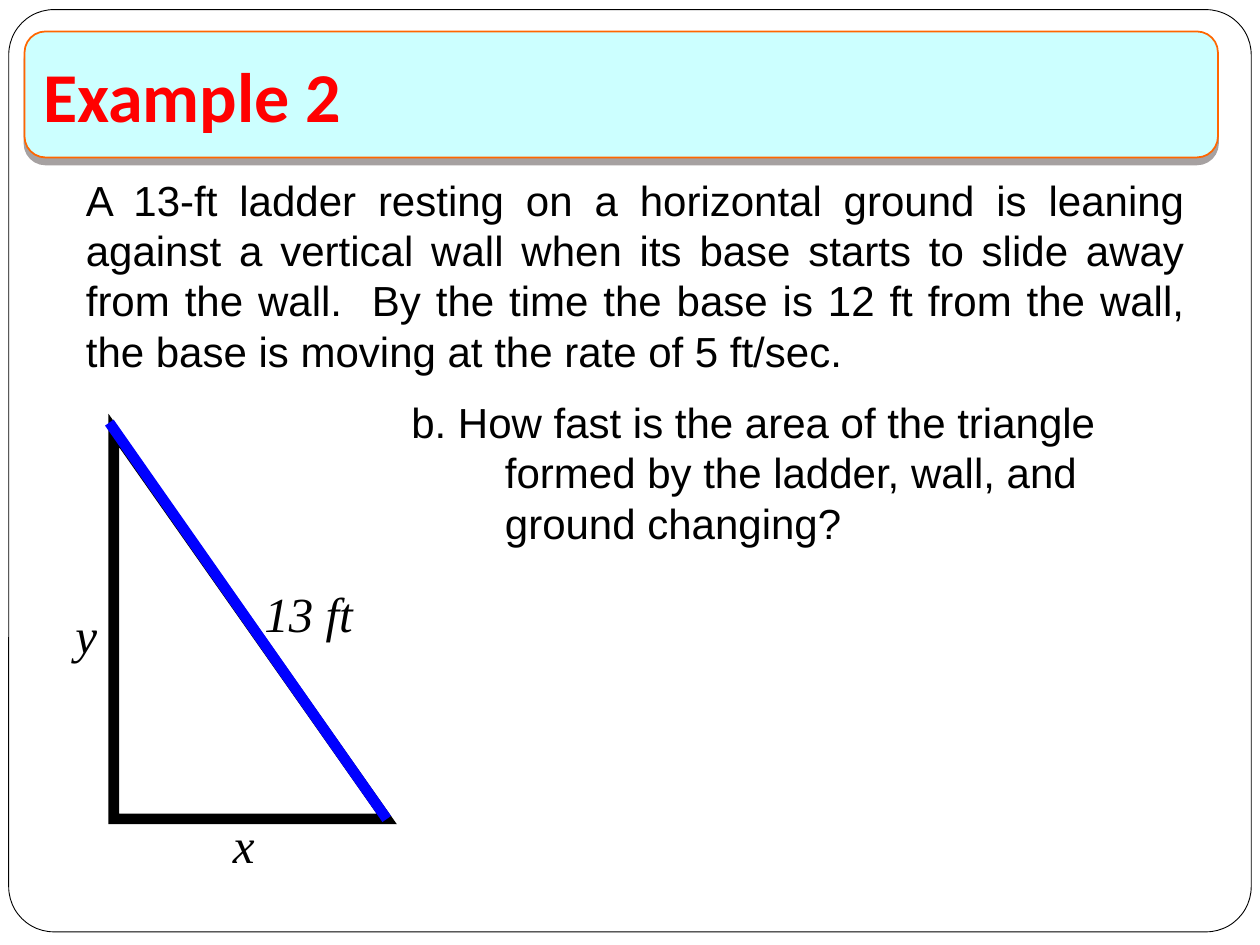
from lxml.etree import SubElement
from pptx import Presentation
from pptx.dml.color import RGBColor
from pptx.enum.shapes import MSO_CONNECTOR, MSO_SHAPE
from pptx.enum.text import MSO_ANCHOR, MSO_AUTO_SIZE, PP_ALIGN
from pptx.oxml.ns import qn
from pptx.util import Pt


def color(code):
    return RGBColor.from_string(code)


def write(frame, text, font="Arial", size=24, ink="000000", bold=False,
          italic=False, align=PP_ALIGN.LEFT, anchor=MSO_ANCHOR.TOP, hang=0):
    frame.word_wrap = True
    frame.auto_size = MSO_AUTO_SIZE.NONE
    frame.vertical_anchor = anchor
    para = frame.paragraphs[0]
    para.text = text
    para.alignment = align
    if hang:
        props = para._p.get_or_add_pPr()
        props.set("marL", str(Pt(hang)))
        props.set("indent", str(-Pt(hang)))
    for run in para.runs:
        run.font.name = font
        run.font.size = Pt(size)
        run.font.bold = bold
        run.font.italic = italic
        run.font.color.rgb = color(ink)


class Board:
    label = dict(font="Times New Roman", size=28, italic=True)

    def __init__(self, slide):
        self.slide = slide
        self.shapes = slide.shapes

    def shape(self, kind, left, top, width, height, fill, line, weight):
        item = self.shapes.add_shape(
            kind, Pt(left), Pt(top), Pt(width), Pt(height))
        item.shadow.inherit = False
        item.fill.solid()
        item.fill.fore_color.rgb = color(fill)
        item.line.color.rgb = color(line)
        item.line.width = Pt(weight)
        return item

    def shadow(self, item, tint, drop):
        effects = item._element.spPr.find(qn("a:effectLst"))
        outer = SubElement(effects, qn("a:outerShdw"), dist=str(Pt(drop)),
                           dir="5400000", algn="ctr", rotWithShape="0")
        SubElement(outer, qn("a:srgbClr"), val=tint)

    def miter(self, item):
        SubElement(item.line._get_or_add_ln(), qn("a:miter"), lim="800000")

    def title(self, text, left, top, width, height, **style):
        item = self.shapes.title
        item.left, item.top = Pt(left), Pt(top)
        item.width, item.height = Pt(width), Pt(height)
        # Bring the title in front of its panel
        self.shapes._spTree.append(item._element)
        write(item.text_frame, text, **style)

    def text(self, text, left, top, width, height, **style):
        item = self.shapes.add_textbox(
            Pt(left), Pt(top), Pt(width), Pt(height))
        write(item.text_frame, text, **style)

    def line(self, start, end, ink, weight):
        points = [Pt(v) for v in (*start, *end)]
        item = self.shapes.add_connector(MSO_CONNECTOR.STRAIGHT, *points)
        item.line.color.rgb = color(ink)
        item.line.width = Pt(weight)
        SubElement(item._element.spPr, qn("a:effectLst"))


def main():
    deck = Presentation()
    deck.slide_width, deck.slide_height = Pt(720), Pt(540)
    board = Board(deck.slides.add_slide(deck.slide_layouts[5]))

    # Page frame
    frame = board.shape(MSO_SHAPE.ROUNDED_RECTANGLE, 5, 5.5, 710, 527,
                        "FFFFFF", "000000", 0.5)
    frame.adjustments[0] = 0.049

    # Title panel
    panel = board.shape(MSO_SHAPE.ROUNDED_RECTANGLE, 14, 18, 682, 72,
                        "CCFFFF", "FF6600", 1)
    board.shadow(panel, "A6A1A1", 4)
    board.title("Example 2", 17.5, 18, 675, 72, font="Calibri", size=40,
                ink="FF0000", bold=True, anchor=MSO_ANCHOR.MIDDLE)

    # Problem and question
    board.text("A 13-ft ladder resting on a horizontal ground is leaning "
               "against a vertical wall when its base starts to slide away "
               "from the wall.  By the time the base is 12 ft from the wall, "
               "the base is moving at the rate of 5 ft/sec.",
               42, 96, 642, 122, align=PP_ALIGN.JUSTIFY)
    board.text("b. How fast is the area of the triangle\v"
               "formed by the ladder, wall, and\vground changing?",
               228, 223, 438, 122, hang=53.5)

    # Wall, ground and ladder
    wall = board.shape(MSO_SHAPE.RIGHT_TRIANGLE, 65, 246, 156, 222,
                       "FFFFFF", "000000", 6)
    board.miter(wall)
    board.line((62.5, 241.5), (221, 468), "0000FF", 6)

    # Side labels
    for name, left, top, width in (("13 ft", 144, 330, 90),
                                   ("x", 126, 462, 54),
                                   ("y", 36, 342, 54)):
        board.text(name, left, top, width, 41, **board.label)

    deck.save("out.pptx")


if __name__ == "__main__":
    main()
